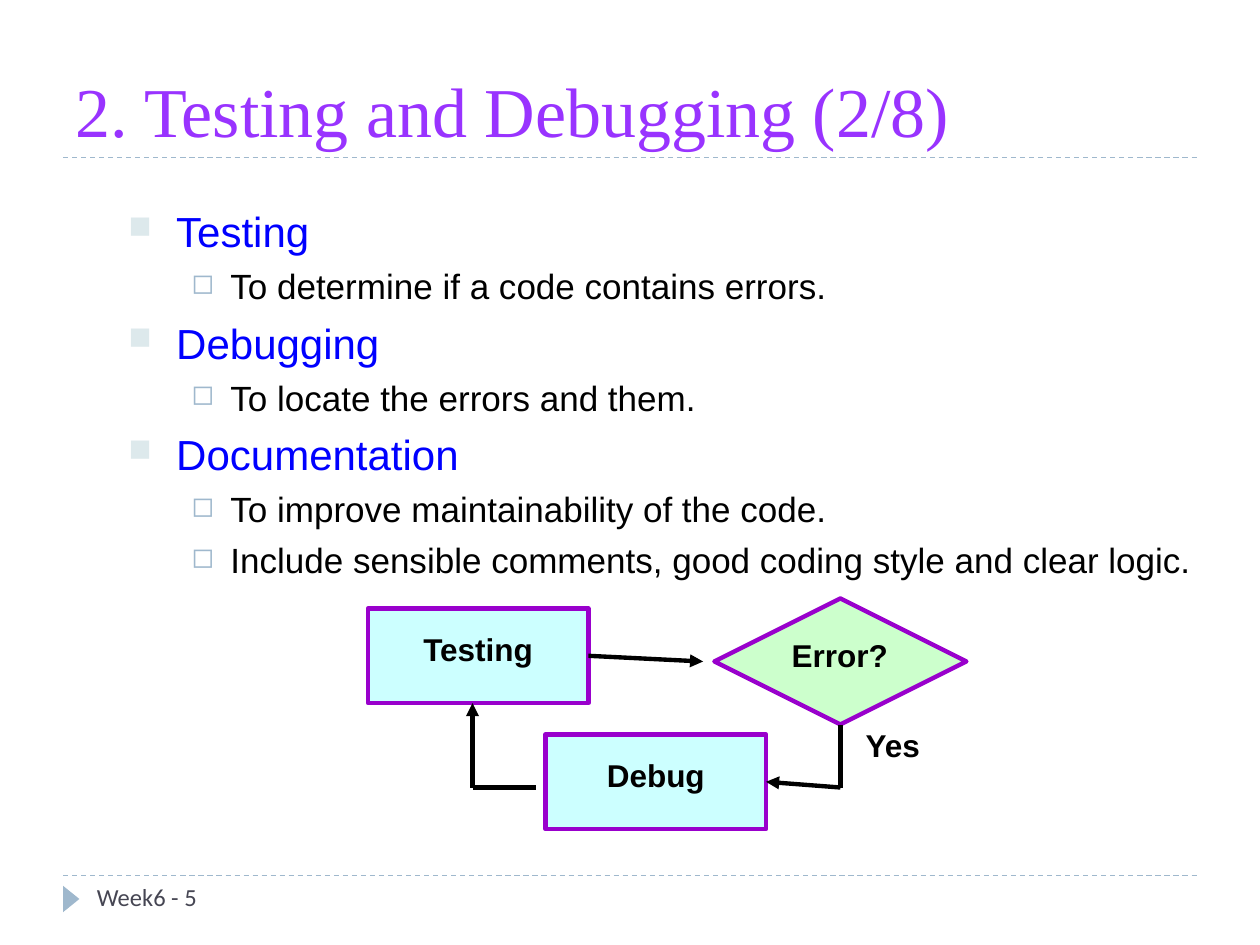
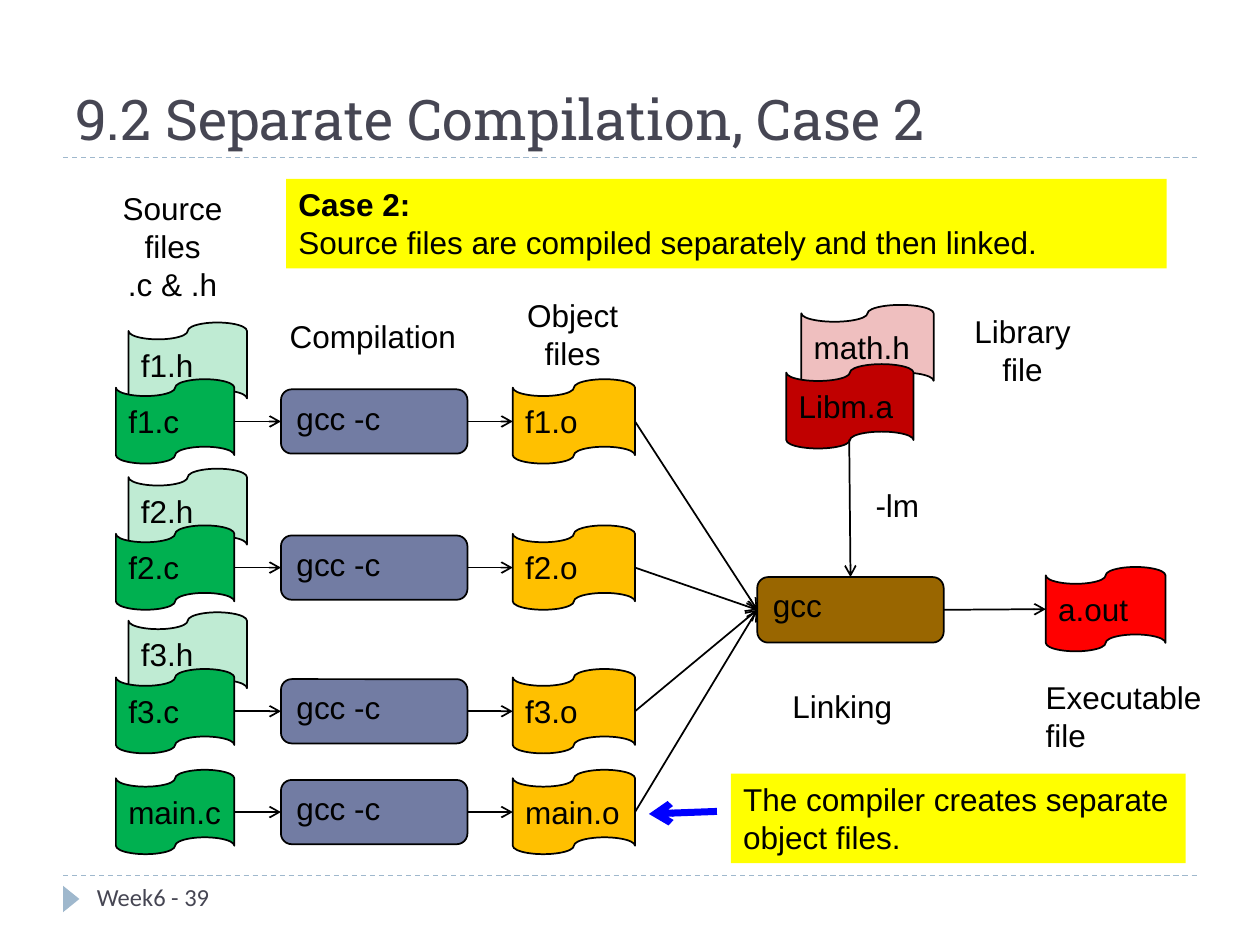
from lxml.etree import SubElement
from pptx import Presentation
from pptx.dml.color import RGBColor
from pptx.enum.dml import MSO_LINE
from pptx.enum.shapes import MSO_CONNECTOR, MSO_SHAPE
from pptx.enum.text import MSO_ANCHOR, MSO_AUTO_SIZE, PP_ALIGN
from pptx.oxml.ns import qn
from pptx.util import Pt

PX = 9144
TOP, LEFT, BOTTOM, RIGHT = range(4)
COLORS = {
    "black": "000000", "slate": "464653", "violet": "9933FF", "blue": "0000FF",
    "rule": "9FB8CD", "pale": "DDE9EC", "purple": "9900CC", "cyan": "CCFFFF",
    "mint": "CCFFCC", "green": "00B050", "steel": "727CA3", "amber": "FFC000",
    "brown": "996600", "red": "FF0000", "crimson": "C00000", "yellow": "FFFF00",
}
BULLETS = [
    {"indent": 38, "hang": 38, "mark": "■", "tint": "pale", "percent": 75,
     "size": 24, "color": "blue", "before": 6},
    {"indent": 81, "hang": 31, "mark": "◻", "tint": "rule", "percent": 80,
     "size": 20, "color": "black", "before": 5},
]


def rgb(name):
    return RGBColor.from_string(COLORS[name])


def assign(target, values):
    for name, value in values.items():
        setattr(target, name, value)


class Painter:
    def __init__(self, deck):
        self.deck = deck
        self.page = None

    def start(self, title, number, **style):
        self.page = self.deck.slides.add_slide(self.deck.slide_layouts[6])
        for y in (695, 125):
            self.line((50, y), (950, y), color="rule", width=0.75, dash=MSO_LINE.DASH)
        marker = self.shape(MSO_SHAPE.ISOSCELES_TRIANGLE, (46, 707, 21, 13), "rule")
        marker.rotation = 90
        heading = self.text((50, 17, 900, 108), [title], **style)
        heading.text_frame.vertical_anchor = MSO_ANCHOR.BOTTOM
        self.text((67, 695, 217, 40), [f"Week6 - {number}"],
                  size=14, font="Calibri", color="slate")

    def style(self, para, size=18, font="Arial", color="black", bold=False):
        for span in para.runs:
            assign(span.font, {"size": Pt(size), "name": font, "bold": bold})
            span.font.color.rgb = rgb(color)

    def set_lines(self, frame, lines, align=PP_ALIGN.LEFT, bold_first=False, **style):
        for index, line in enumerate(lines):
            para = frame.add_paragraph() if index else frame.paragraphs[0]
            assign(para, {"text": line, "alignment": align})
            self.style(para, **{**style, **({"bold": index == 0} if bold_first else {})})

    def text(self, area, lines, wrap=True, grow=False, inset=None, **style):
        box = self.page.shapes.add_textbox(*(value * PX for value in area))
        frame = box.text_frame
        frame.word_wrap = wrap
        if grow:
            frame.auto_size = MSO_AUTO_SIZE.SHAPE_TO_FIT_TEXT
        if inset is not None:
            sides = ("left", "top", "right", "bottom")
            assign(frame, {f"margin_{side}": inset * PX for side in sides})
        self.set_lines(frame, lines, **style)
        return box

    def label(self, x, y, width, height, words, align=PP_ALIGN.LEFT):
        return self.text((x, y, width, height), [words], wrap=False, grow=True, align=align)

    def shape(self, kind, area, fill, lines=(), outline=None, width=1, alpha=None, **style):
        shape = self.page.shapes.add_shape(kind, *(value * PX for value in area))
        shape.shadow.inherit = False
        shape.fill.solid()
        shape.fill.fore_color.rgb = rgb(fill)
        if alpha:
            tint = shape.element.spPr.find(qn("a:solidFill"))[0]
            SubElement(tint, qn("a:alpha"), val=str(alpha * 1000))
        if outline:
            shape.line.color.rgb = rgb(outline)
            shape.line.width = Pt(width)
        else:
            shape.line.fill.background()
        if lines:
            shape.text_frame.vertical_anchor = MSO_ANCHOR.TOP
            self.set_lines(shape.text_frame, lines, **style)
        return shape

    def tape(self, x, y, width, words, fill, alpha=None):
        return self.shape(MSO_SHAPE.FLOWCHART_PUNCHED_TAPE, (x, y, width, 67), fill,
                          [words], outline="black", alpha=alpha)

    def tool(self, x, y, height, words, fill):
        return self.shape(MSO_SHAPE.ROUNDED_RECTANGLE, (x, y, 148, height), fill,
                          [words], outline="black")

    def note(self, area, lines, wrap=True, **style):
        box = self.shape(MSO_SHAPE.RECTANGLE, area, "yellow", lines, **style)
        assign(box.text_frame, {"word_wrap": wrap,
                                "auto_size": MSO_AUTO_SIZE.SHAPE_TO_FIT_TEXT})

    def step(self, kind, area, words, fill):
        x, y, width, height = area
        box = self.shape(kind, area, fill, outline="purple", width=2.5)
        self.text((x + (width - 117) // 2, y + height // 2 - 25, 117, 40), [words],
                  grow=True, align=PP_ALIGN.CENTER, bold=True)
        return box

    def line(self, start, end, color="black", width=1, dash=None, head=None, tail=None,
             begin_at=None, end_at=None):
        points = (value * PX for value in (*start, *end))
        link = self.page.shapes.add_connector(MSO_CONNECTOR.STRAIGHT, *points)
        link.line.color.rgb = rgb(color)
        link.line.width = Pt(width)
        if dash:
            link.line.dash_style = dash
        if begin_at:
            link.begin_connect(*begin_at)
        if end_at:
            link.end_connect(*end_at)
        properties = link.element.spPr
        for tag, kind in (("a:headEnd", head), ("a:tailEnd", tail)):
            if kind:
                SubElement(properties.find(qn("a:ln")), qn(tag), type=kind)
        SubElement(properties, qn("a:effectLst"))

    def flow(self, source, target):
        self.line((0, 0), (0, 0), tail="arrow", begin_at=(source, RIGHT),
                  end_at=(target, LEFT))

    def outline(self, area, items):
        box = self.text(area, [words for _, words in items])
        box.text_frame.margin_top = 9 * PX
        for index, (para, (level, _)) in enumerate(zip(box.text_frame.paragraphs, items)):
            rule = BULLETS[level]
            para.level = level
            if index:
                para.space_before = Pt(rule["before"])
            properties = para._p.get_or_add_pPr()
            properties.set("marL", str(rule["indent"] * PX))
            properties.set("indent", str(-rule["hang"] * PX))
            tint = SubElement(properties, qn("a:buClr"))
            SubElement(tint, qn("a:srgbClr"), val=COLORS[rule["tint"]])
            SubElement(properties, qn("a:buSzPct"), val=str(rule["percent"] * 1000))
            SubElement(properties, qn("a:buChar"), char=rule["mark"])
            self.style(para, size=rule["size"], color=rule["color"])


def draw_debugging(painter):
    painter.start("2. Testing and Debugging (2/8)", 5,
                  size=40, font="Times New Roman", color="violet")
    painter.outline((92, 154, 865, 333), [
        (0, "Testing"),
        (1, "To determine if a code contains errors."),
        (0, "Debugging"),
        (1, "To locate the errors and them."),
        (0, "Documentation"),
        (1, "To improve maintainability of the code."),
        (1, "Include sensible comments, good coding style and clear logic."),
    ])
    testing = painter.step(MSO_SHAPE.RECTANGLE, (292, 483, 175, 75), "Testing", "cyan")
    error = painter.step(MSO_SHAPE.DIAMOND, (567, 475, 200, 100), "Error?", "mint")
    debug = painter.step(MSO_SHAPE.RECTANGLE, (433, 583, 175, 75), "Debug", "cyan")
    painter.text((667, 575, 83, 32), ["Yes"], grow=True, inset=1,
                 align=PP_ALIGN.CENTER, bold=True)
    for start, end, options in (
        ((467, 525), (558, 525), {"tail": "triangle", "begin_at": (testing, RIGHT)}),
        ((667, 575), (667, 625), {"begin_at": (error, BOTTOM)}),
        ((608, 625), (667, 625), {"head": "triangle", "begin_at": (debug, RIGHT)}),
        ((375, 625), (425, 625), {}),
        ((375, 625), (375, 558), {"tail": "triangle"}),
    ):
        painter.line(start, end, width=2.5, **options)


def draw_compilation(painter):
    painter.start("9.2 Separate Compilation, Case 2", 39,
                  size=32, font="Roboto Slab", color="slate")
    linker = painter.tool(601, 458, 52, "gcc", "brown")
    program = painter.tape(830, 450, 95, "a.out", "red")
    for name, y in (("f1", 301), ("f2", 417), ("f3", 531), ("main", 611)):
        if name != "main":
            painter.tape(102, y - 45, 94, f"{name}.h", "green", alpha=25)
        source = painter.tape(92, y, 94, f"{name}.c", "green")
        compiler = painter.tool(223, y + 8, 51, "gcc -c", "steel")
        result = painter.tape(407, y, 97, f"{name}.o", "amber")
        chain = [source, compiler, result, linker]
        for before, after in zip(chain, chain[1:]):
            painter.flow(before, after)
    painter.flow(linker, program)

    painter.tape(636, 242, 105, "math.h", "crimson", alpha=25)
    painter.tape(624, 289, 101, "Libm.a", "crimson")
    painter.line((674, 349), (675, 458), tail="arrow", end_at=(linker, TOP))

    center = PP_ALIGN.CENTER
    painter.label(87, 145, 100, 101, "Source\nfiles\n.c & .h", center)
    painter.label(220, 247, 153, 40, "Compilation")
    painter.label(408, 230, 93, 71, "Object\nfiles", center)
    painter.label(763, 243, 97, 71, "Library\nfile", center)
    painter.label(619, 540, 100, 40, "Linking")
    painter.label(820, 533, 145, 71, "Executable\nfile")
    painter.label(685, 381, 55, 40, "-lm")

    painter.note((227, 142, 699, 71),
                 ["Case 2:", "Source files are compiled separately and then linked."],
                 bold_first=True)
    painter.note((580, 614, 361, 71),
                 ["The compiler creates separate", "object files."], wrap=False)
    painter.line((569, 644), (515, 646), color="blue", width=4, tail="arrow")


def main():
    deck = Presentation()
    assign(deck, {"slide_width": 1000 * PX, "slide_height": 750 * PX})
    painter = Painter(deck)
    draw_debugging(painter)
    draw_compilation(painter)
    deck.save("out.pptx")


if __name__ == "__main__":
    main()
